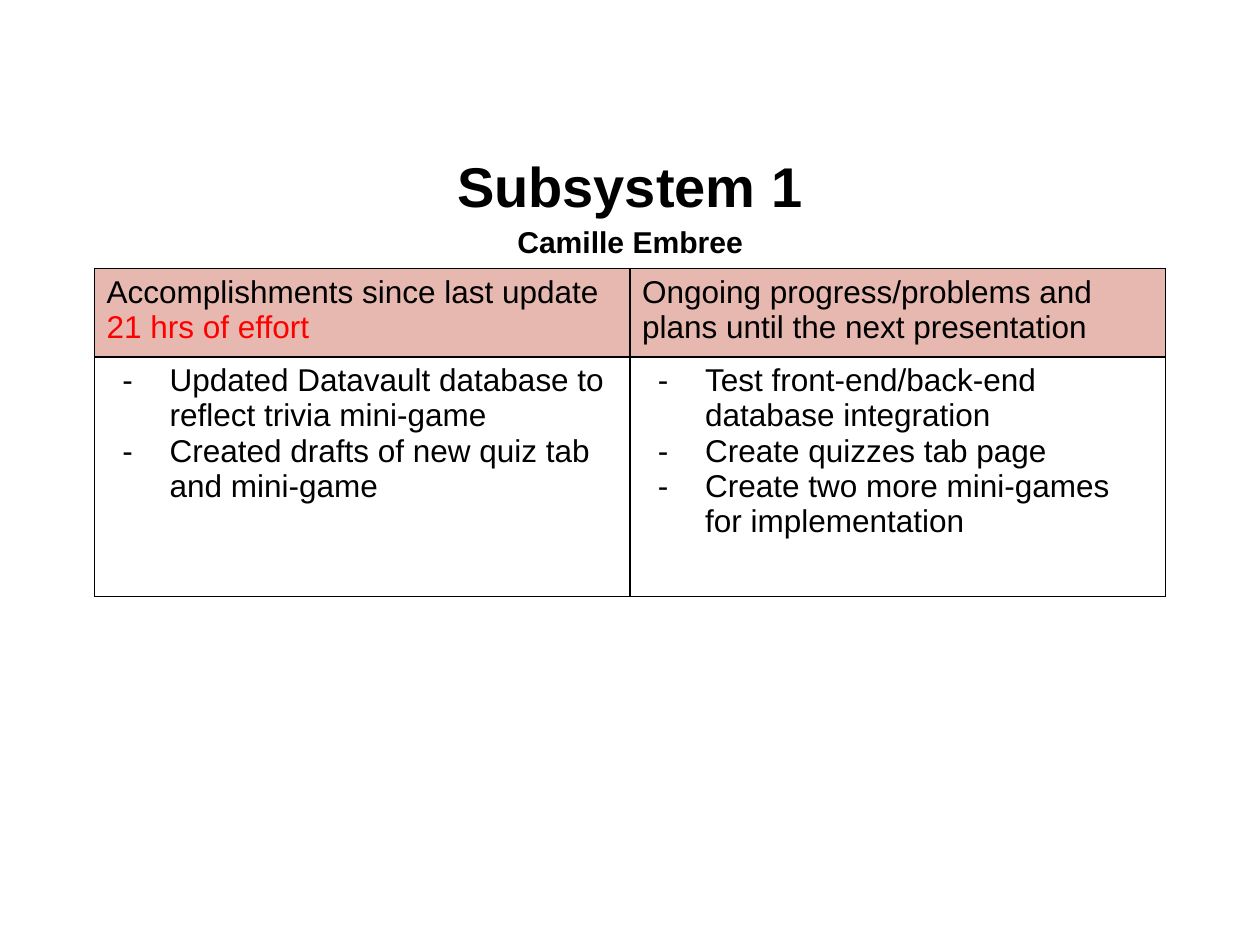
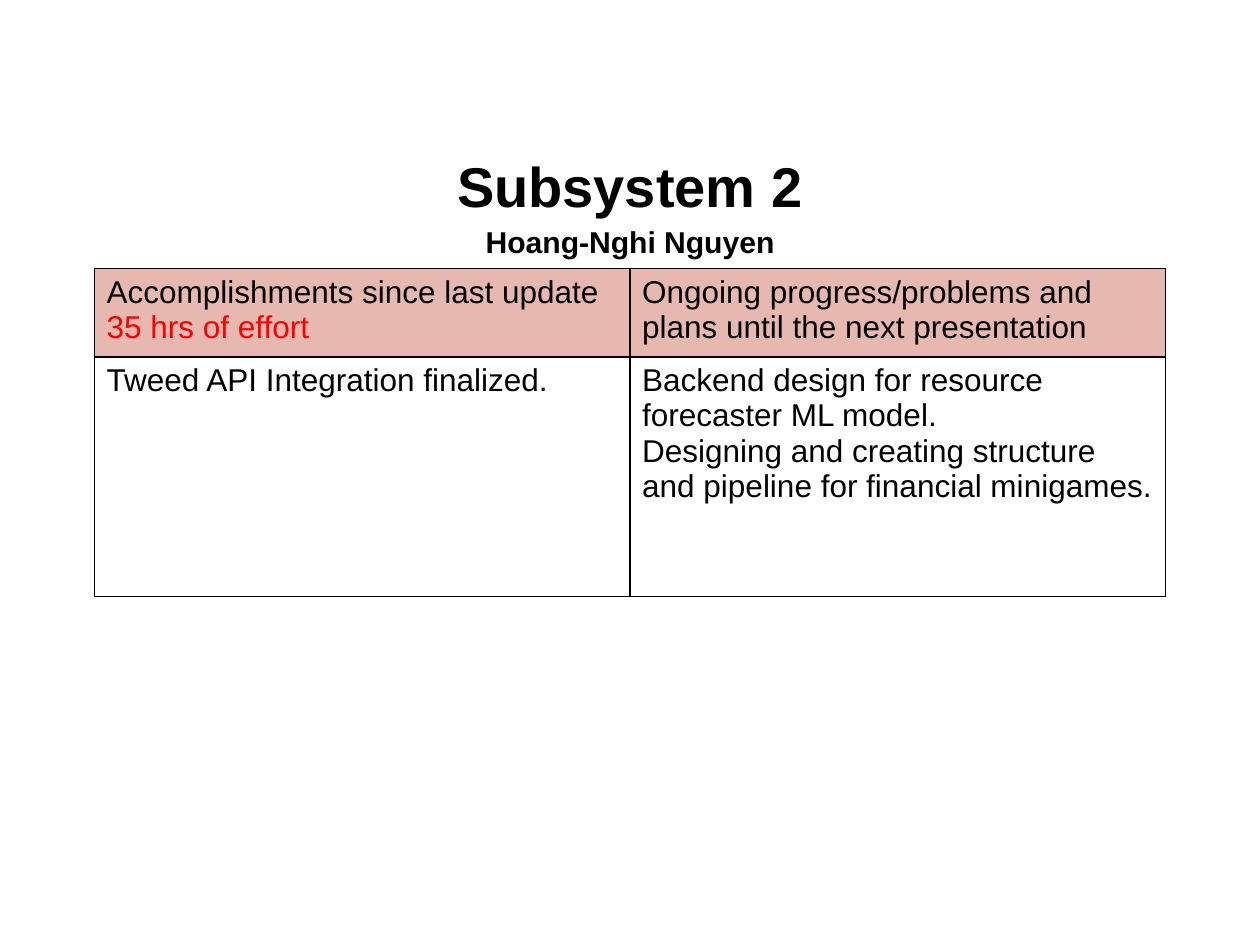
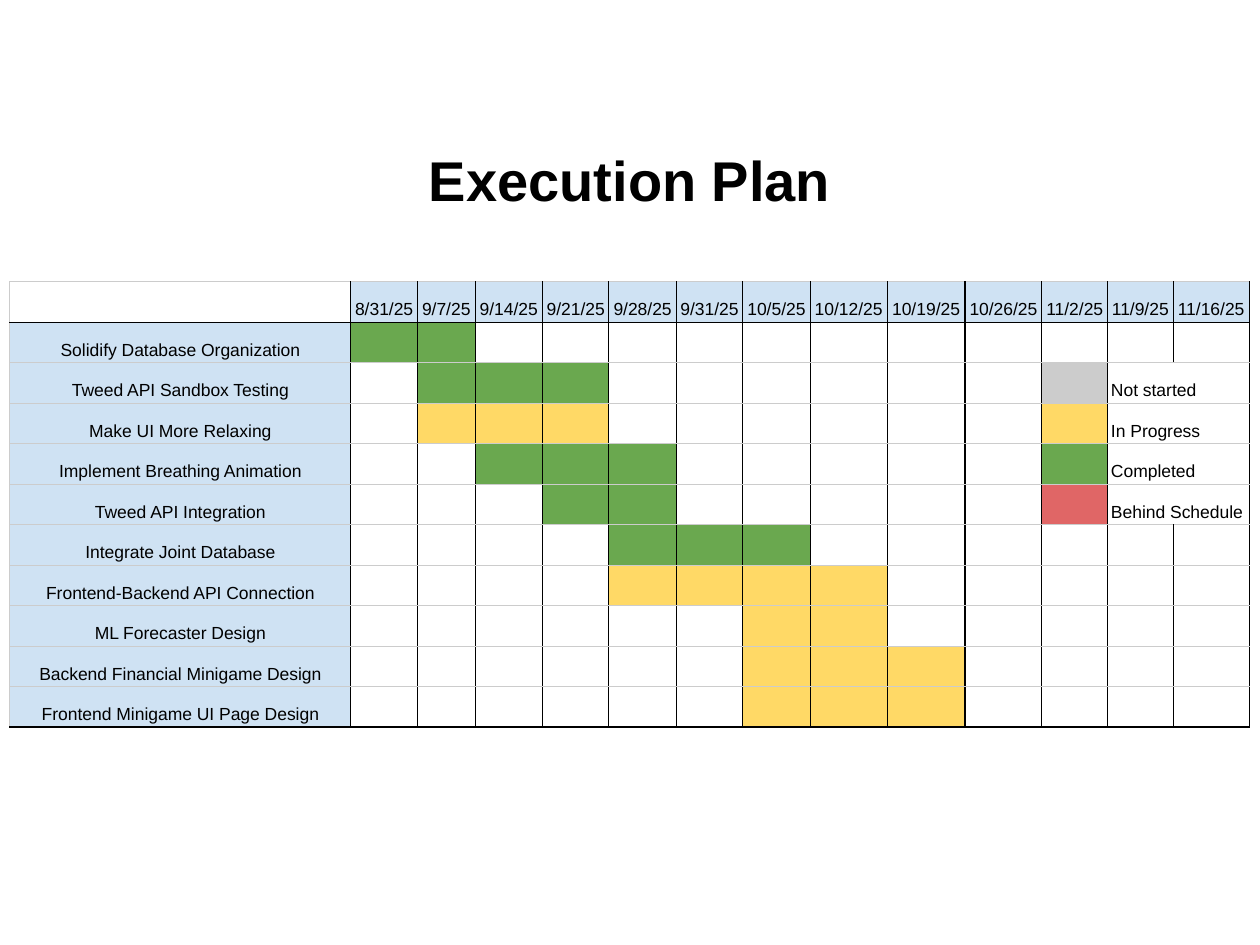
from dataclasses import dataclass

from lxml import etree
from pptx import Presentation
from pptx import util as u
from pptx.dml import color
from pptx.enum import text as t
from pptx.oxml import ns

SCALE = 6350
FONT = "Arial"
BLACK, WHITE, RED = "000000", "FFFFFF", "FF0000"
GREY, PINK, BLUE = "CCCCCC", "E6B8AF", "CFE2F3"
DONE, DOING, LATE = "6AA84F", "FFD966", "E06666"
MID, LEFT = t.PP_ALIGN.CENTER, t.PP_ALIGN.LEFT
LOW, TOP = t.MSO_ANCHOR.BOTTOM, t.MSO_ANCHOR.TOP


@dataclass
class Update:
    title: str
    name: str
    hours: str
    done: list[str]
    plans: list[str]
    bullet: str = ""


@dataclass
class Task:
    name: str
    start: int
    weeks: int
    state: str


@dataclass
class Key:
    label: str
    state: str


UPDATES = [
    Update("Subsystem 1", "Camille Embree", "21 hrs of effort",
           ["Updated Datavault database to reflect trivia mini-game",
            "Created drafts of new quiz tab and mini-game"],
           ["Test front-end/back-end database integration",
            "Create quizzes tab page",
            "Create two more mini-games for implementation"], "-"),
    Update("Subsystem 2", "Hoang-Nghi Nguyen", "35 hrs of effort",
           ["Tweed API Integration finalized."],
           ["Backend design for resource forecaster ML model.",
            "Designing and creating structure and pipeline for financial minigames."]),
]
DATES = ["8/31/25", "9/7/25", "9/14/25", "9/21/25", "9/28/25", "9/31/25", "10/5/25",
         "10/12/25", "10/19/25", "10/26/25", "11/2/25", "11/9/25", "11/16/25"]
WIDTHS = [390, 76, 66, 77, 76, 77, 76, 77, 88, 89, 88, 75, 75, 87]
TASKS = [
    Task("Solidify Database Organization", 1, 2, DONE),
    Task("Tweed API Sandbox Testing", 2, 3, DONE),
    Task("Make UI More Relaxing", 2, 3, DOING),
    Task("Implement Breathing Animation", 3, 3, DONE),
    Task("Tweed API Integration", 4, 2, DONE),
    Task("Integrate Joint Database", 5, 3, DONE),
    Task("Frontend-Backend API Connection", 5, 4, DOING),
    Task("ML Forecaster Design", 7, 2, DOING),
    Task("Backend Financial Minigame Design", 7, 3, DOING),
    Task("Frontend Minigame UI Page Design", 7, 3, DOING),
]
KEYS = [Key("Not started", GREY), Key("In Progress", DOING),
        Key("Completed", DONE), Key("Behind Schedule", LATE)]
KEY_ROW, KEY_COL = 2, 11


def px(n: int) -> u.Emu:
    return u.Emu(n * SCALE)


def rgb(code: str) -> color.RGBColor:
    return color.RGBColor.from_string(code)


def node(parent, tag: str, **attrs: str):
    return etree.SubElement(parent, ns.qn(tag), attrs)


def write(frame, text: str, *, size: float = 18, ink: str = BLACK, bold: bool = False,
          align=LEFT, space: float = 1.0, bullet: str = "", more: bool = False) -> None:
    para = frame.paragraphs[-1]
    if para.runs and not more:
        para = frame.add_paragraph()
    para.alignment, para.line_spacing = align, space
    run = para.add_run()
    run.text = text
    font = run.font
    font.name, font.size, font.bold = FONT, u.Pt(size), bold
    font.color.rgb = rgb(ink)
    if bullet:
        props = para._p.get_or_add_pPr()
        props.set("marL", str(px(72)))
        props.set("indent", str(px(-54)))
        node(node(props, "a:buClr"), "a:srgbClr", val=BLACK)
        node(props, "a:buFont", typeface=FONT)
        node(props, "a:buChar", char=bullet)


def start(deck, top: int):
    slide = deck.slides.add_slide(deck.slide_layouts[5])
    title = slide.shapes.title
    title.left, title.top, title.width, title.height = map(px, (72, top, 1296, 126))
    frame = title.text_frame
    frame.word_wrap, frame.auto_size = True, t.MSO_AUTO_SIZE.NONE
    frame.vertical_anchor = t.MSO_ANCHOR.MIDDLE
    return slide, frame


def grid(slide, left: int, top: int, cols: list[int], rows: list[int]):
    box = map(px, (left, top, sum(cols), sum(rows)))
    table = slide.shapes.add_table(len(rows), len(cols), *box).table
    table.first_row = table.horz_banding = False
    for col, wide in zip(table.columns, cols):
        col.width = px(wide)
    for row, high in zip(table.rows, rows):
        row.height = px(high)
    return table


def style(cell, fill: str, edges: list[str], wide: float, *, side: int = 14,
          end: int = 7, anchor=TOP) -> None:
    cell.margin_left = cell.margin_right = px(side)
    cell.margin_top = cell.margin_bottom = px(end)
    cell.vertical_anchor = anchor
    cell.fill.solid()
    cell.fill.fore_color.rgb = rgb(fill)
    props = cell._tc.get_or_add_tcPr()
    for spot, (edge, hue) in enumerate(zip("LRTB", edges)):
        line = node(props, f"a:ln{edge}", w=str(u.Pt(wide)))
        node(node(line, "a:solidFill"), "a:srgbClr", val=hue)
        props.insert(spot, line)


def blank(cell) -> None:
    para = cell.text_frame.paragraphs[0]
    if not para.runs:
        node(node(para._p, "a:endParaRPr", sz="1800"), "a:latin", typeface=FONT)


def report(deck, item: Update) -> None:
    slide, title = start(deck, 166)
    for text, size in ((item.title, 32), (item.name, 17.2)):
        write(title, text, size=size, bold=True, align=MID, space=1.15)
    table = grid(slide, 108, 307, [612, 612], [101, 274])
    for row, fill in enumerate((PINK, WHITE)):
        for col in range(2):
            style(table.cell(row, col), fill, [BLACK] * 4, 1)
    head = table.cell(0, 0).text_frame
    write(head, "Accomplishments since last update ")
    write(head, item.hours, ink=RED, more=True)
    write(table.cell(0, 1).text_frame,
          "Ongoing progress/problems and plans until the next presentation")
    for col, lines in enumerate((item.done, item.plans)):
        for text in lines:
            write(table.cell(1, col).text_frame, text, bullet=item.bullet)


def hue(row: int, col: int) -> str:
    if row == 0 or col == 0:
        return BLUE if row or col else WHITE
    if col == KEY_COL and 0 <= row - KEY_ROW < len(KEYS):
        return KEYS[row - KEY_ROW].state
    task = TASKS[row - 1]
    return task.state if 0 <= col - task.start < task.weeks else WHITE


def plan(deck) -> None:
    slide, title = start(deck, 142)
    write(title, "Execution Plan", size=32, bold=True, align=MID)
    last = len(TASKS)
    table = grid(slide, 11, 322, WIDTHS, [46] * (last + 1))
    for row in range(last + 1):
        for col in range(len(WIDTHS)):
            edges = [BLACK if col else GREY, BLACK if row or col else BLACK,
                     BLACK if row == 1 else GREY,
                     BLACK if row in (0, last) else GREY]
            style(table.cell(row, col), hue(row, col), edges, 0.75,
                  side=4, end=3, anchor=LOW)
    labels = [(0, col, text, MID) for col, text in enumerate(DATES, 1)]
    labels += [(row, 0, task.name, MID) for row, task in enumerate(TASKS, 1)]
    for row, key in enumerate(KEYS, KEY_ROW):
        table.cell(row, KEY_COL + 1).merge(table.cell(row, KEY_COL + 2))
        labels.append((row, KEY_COL + 1, key.label, LEFT))
    for row, col, text, align in labels:
        write(table.cell(row, col).text_frame, text, size=10, align=align, space=1.15)
    for cell in table.iter_cells():
        blank(cell)


def main() -> None:
    deck = Presentation()
    deck.slide_width, deck.slide_height = px(1440), px(1080)
    for item in UPDATES:
        report(deck, item)
    plan(deck)
    deck.save("out.pptx")


if __name__ == "__main__":
    main()
